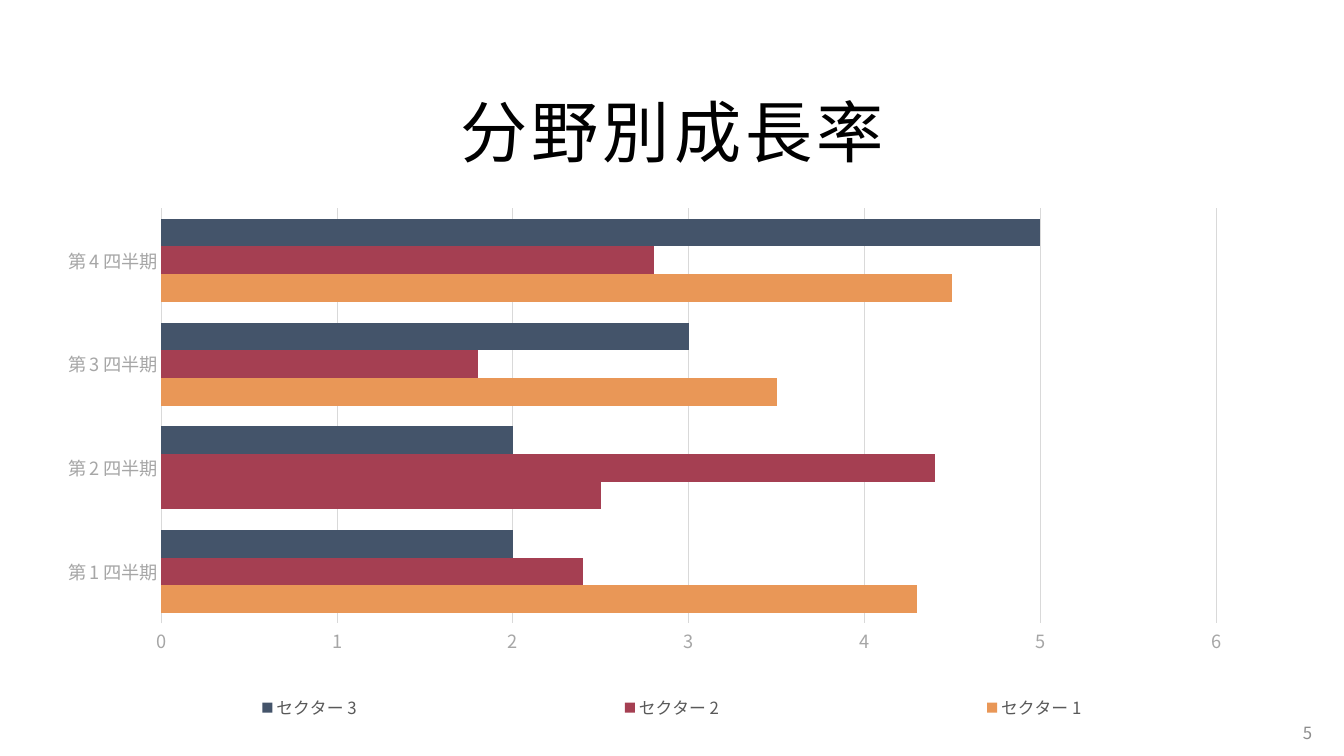
from lxml.etree import SubElement
from pptx import Presentation
from pptx.chart.data import CategoryChartData
from pptx.dml.color import RGBColor
from pptx.enum.chart import XL_CHART_TYPE, XL_LEGEND_POSITION, XL_TICK_MARK
from pptx.enum.text import MSO_ANCHOR, PP_ALIGN
from pptx.oxml.ns import qn
from pptx.util import Pt

TITLE = "分野別成長率"
PAGE = "5"
QUARTERS = ["第 1 四半期", "第 2 四半期", "第 3 四半期", "第 4 四半期"]
SECTORS = [
    ("セクター 1", (4.3, 2.5, 3.5, 4.5), "orange"),
    ("セクター 2", (2.4, 4.4, 1.8, 2.8), "red"),
    ("セクター 3", (2, 2, 3, 5), "navy"),
]
HIGHLIGHT = (0, 1, "red")  # series, point, colour

COLORS = {
    "orange": "E99757", "red": "A53F52", "navy": "44546A",
    "black": "000000", "axis": "A6A6A6", "grid": "D9D9D9",
    "legend": "595959", "page": "8C8C8C",
}
FONT = "Noto Sans CJK JP"

EMU_PER_PX = 914400 / 100.8
SLIDE = (1344, 756)
TITLE_BOX = (66, 85, 1213, 91)
CHART_BOX = (0, 151, 1344, 605)
PAGE_BOX = (1273, 713, 49, 40)
# x, y, w, h as fractions of the chart
PLOT_AREA = (0.12, 0.095, 0.785, 0.686)
LEGEND_AREA = (0, 0.88, 1, 0.08)


def emu(lengths):
    return [round(n * EMU_PER_PX) for n in lengths]


def rgb(name):
    return RGBColor.from_string(COLORS[name])


def style_font(font, size, color):
    font.size = Pt(size)
    font.name = FONT
    font.bold = False
    font.color.rgb = rgb(color)


def set_fill(fmt, color):
    fmt.fill.solid()
    fmt.fill.fore_color.rgb = rgb(color)


def set_line(line, color):
    line.color.rgb = rgb(color)
    line.width = Pt(0.75)


def add_east_asian_font(root):
    """Repeat each latin typeface as the East Asian one."""
    for latin in list(root.iter(qn("a:latin"))):
        ea = latin.makeelement(qn("a:ea"), {"typeface": FONT})
        latin.addnext(ea)


def set_layout(parent, area, after, inner=False):
    """Place a plot area or legend by fractions of the chart."""
    for old in parent.findall(qn("c:layout")):
        parent.remove(old)
    layout = parent.makeelement(qn("c:layout"), {})
    if after is None:
        parent.insert(0, layout)
    else:
        after.addnext(layout)
    manual = SubElement(layout, qn("c:manualLayout"))
    settings = [("layoutTarget", "inner")] if inner else []
    settings += [("xMode", "edge"), ("yMode", "edge")]
    settings += zip("xywh", area)
    for tag, val in settings:
        SubElement(manual, qn(f"c:{tag}")).set("val", str(val))


def fill_text(shape, text, size, color, align):
    tf = shape.text_frame
    tf.text = text
    tf.word_wrap = True
    tf.vertical_anchor = MSO_ANCHOR.MIDDLE
    p = tf.paragraphs[0]
    p.alignment = align
    r = p.runs[0]
    style_font(r.font, size, color)
    add_east_asian_font(p._p)
    return r


def add_title(s):
    title = s.shapes.title
    title.left, title.top, title.width, title.height = emu(TITLE_BOX)
    r = fill_text(title, TITLE, 48, "black", PP_ALIGN.CENTER)
    r._r.get_or_add_rPr().set("spc", "300")


def add_growth_chart(s):
    data = CategoryChartData()
    data.categories = QUARTERS
    for name, values, _ in SECTORS:
        data.add_series(name, values)
    chart = s.shapes.add_chart(
        XL_CHART_TYPE.BAR_CLUSTERED, *emu(CHART_BOX), data).chart
    chart.has_title = False
    style_font(chart.font, 15, "black")

    plot = chart.plots[0]
    plot.gap_width = 75
    plot.vary_by_categories = False
    for series, (_, _, color) in zip(plot.series, SECTORS):
        set_fill(series.format, color)
    row, point, color = HIGHLIGHT
    set_fill(plot.series[row].points[point].format, color)

    for axis in (chart.category_axis, chart.value_axis):
        axis.major_tick_mark = axis.minor_tick_mark = XL_TICK_MARK.NONE
        style_font(axis.tick_labels.font, 13, "axis")
    set_line(chart.category_axis.format.line, "grid")
    values = chart.value_axis
    values.format.line.fill.background()
    values.minimum_scale, values.maximum_scale, values.major_unit = 0, 6, 1
    values.has_major_gridlines = True
    set_line(values.major_gridlines.format.line, "grid")

    chart.has_legend = True
    legend = chart.legend
    legend.position = XL_LEGEND_POSITION.BOTTOM
    legend.include_in_layout = False
    style_font(legend.font, 12, "legend")

    root = chart._chartSpace
    set_layout(root.find(".//" + qn("c:plotArea")), PLOT_AREA, None, inner=True)
    legend_xml = root.find(".//" + qn("c:legend"))
    set_layout(legend_xml, LEGEND_AREA, legend_xml.find(qn("c:legendPos")))
    add_east_asian_font(root)


def main():
    prs = Presentation()
    prs.slide_width, prs.slide_height = emu(SLIDE)
    s = prs.slides.add_slide(prs.slide_layouts[5])
    add_title(s)
    add_growth_chart(s)
    page = s.shapes.add_textbox(*emu(PAGE_BOX))
    fill_text(page, PAGE, 12, "page", PP_ALIGN.RIGHT)
    prs.save("out.pptx")


if __name__ == "__main__":
    main()
